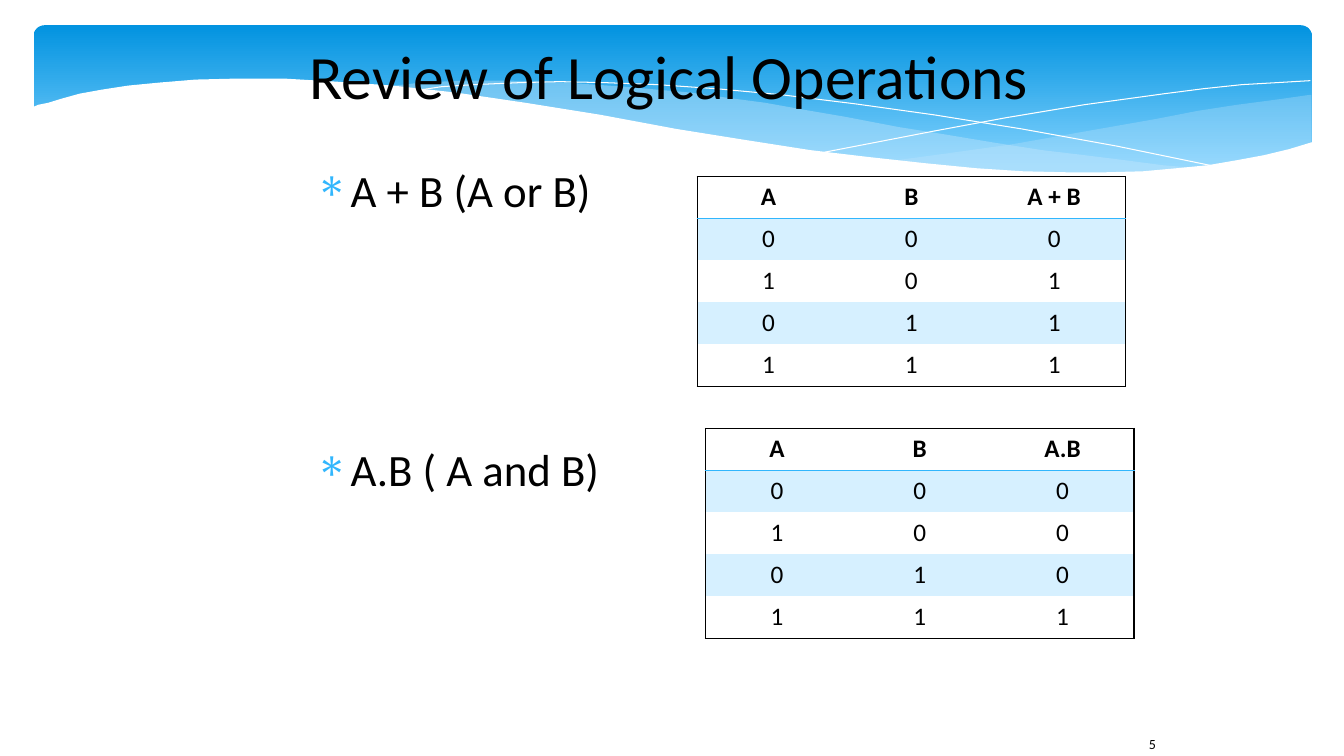
from lxml import etree
from pptx import Presentation
from pptx.dml.color import RGBColor
from pptx.enum import shapes, text
from pptx.oxml import ns
from pptx.util import Pt

FONT = "Calibri"
BLACK, WHITE, SKY, STRIPE, MIST = "000000", "FFFFFF", "31B6FD", "D6F0FF", "C6E7FC"

# Wave outlines, in hundredths of an inch
RIGHT_WAVE = [
    (1300, 94), (1265, 99), (1227, 104), (1188, 110), (1147, 118), (1073, 131),
    (1005, 143), (941, 152), (882, 160), (921, 164), (958, 167), (993, 169),
    (1025, 171), (1056, 172), (1113, 172), (1151, 170), (1186, 166), (1218, 162),
    (1247, 156), (1284, 147), (1301, 142), (1301, 94)]
LONG_WAVE = [
    (1190, 167), (1154, 164), (1116, 159), (1076, 154), (1034, 149), (989, 142),
    (941, 134), (891, 126), (839, 116), (798, 109), (759, 102), (721, 97),
    (686, 92), (652, 89), (619, 86), (560, 82), (506, 80), (459, 80), (418, 82),
    (382, 86), (431, 90), (483, 97), (539, 106), (599, 116), (706, 135),
    (755, 143), (802, 150), (846, 156), (887, 161), (926, 165), (963, 168),
    (998, 170), (1030, 172), (1076, 173), (1118, 172), (1156, 170)]
FALLING_LINE = [
    (412, 90), (438, 86), (470, 84), (516, 82), (555, 81), (600, 82), (652, 84),
    (710, 88), (775, 94), (848, 103), (927, 114), (1014, 128), (1108, 145), (1210, 166)]
RISING_LINE = [
    (818, 151), (870, 141), (927, 130), (997, 117), (1075, 104), (1155, 93),
    (1194, 88), (1232, 84), (1267, 82), (1300, 80)]
WHITE_WAVE = [
    (1302, 141), (1279, 148), (1254, 154), (1227, 159), (1198, 164), (1167, 167),
    (1134, 170), (1097, 171), (1058, 171), (1015, 170), (969, 167), (918, 162),
    (863, 156), (804, 149), (740, 139), (671, 128), (596, 114), (521, 102),
    (453, 92), (390, 85), (333, 81), (282, 78), (235, 78), (194, 79), (158, 82),
    (127, 85), (101, 89), (79, 93), (61, 98), (48, 102), (38, 104), (31, 107),
    (31, 224), (1303, 224), (1303, 140)]


def rgb(value):
    return RGBColor.from_string(value)


def add_node(parent, tag, **attributes):
    return etree.SubElement(parent, ns.qn(tag), attributes)


def style(paragraph, size, bold=False):
    font = paragraph.font
    font.name, font.size, font.bold = FONT, Pt(size), bold
    font.color.rgb = rgb(BLACK)


def add_outline(page, points, closed):
    builder = page.shapes.build_freeform(*points[0], scale=Pt(0.72))
    builder.add_line_segments(points[1:], close=closed)
    shape = builder.convert_to_shape()
    shape.shadow.inherit = False
    return shape


def add_wave(page, points, color, opacity=100):
    wave = add_outline(page, points, True)
    wave.fill.solid()
    wave.fill.fore_color.rgb = rgb(color)
    wave.line.fill.background()
    if opacity < 100:
        fill_color = wave.fill._xPr.find(".//" + ns.qn("a:srgbClr"))
        add_node(fill_color, "a:alpha", val=str(opacity * 1000))


def add_curve(page, points):
    curve = add_outline(page, points, False)
    curve.fill.background()
    curve.line.color.rgb = rgb(WHITE)
    curve.line.width = Pt(0)


def add_banner(page):
    banner = page.shapes.add_shape(
        shapes.MSO_SHAPE.ROUNDED_RECTANGLE, Pt(24), Pt(18), Pt(913), Pt(112.5))
    banner.adjustments[0] = 0.07
    banner.shadow.inherit = False
    banner.line.fill.background()
    banner.fill.gradient()
    banner.fill.gradient_angle = 270
    stops = zip(banner.fill.gradient_stops, (0, 0.9), ("0293E0", "83D3FE"))
    for stop, position, color in stops:
        stop.position = position
        stop.color.rgb = rgb(color)


def place_title(page, wording):
    title = page.shapes.title
    title.left, title.top, title.width, title.height = Pt(186), Pt(16.5), Pt(584), Pt(73.5)
    frame = title.text_frame
    frame.margin_left = frame.margin_right = frame.margin_top = frame.margin_bottom = 0
    frame.vertical_anchor = text.MSO_ANCHOR.MIDDLE
    frame.text = wording
    frame.paragraphs[0].alignment = text.PP_ALIGN.CENTER
    style(frame.paragraphs[0], 44)
    # Bring the title in front of the banner
    title.element.getparent().append(title.element)


def add_box(page, left, top, width, height, margin=0):
    frame = page.shapes.add_textbox(Pt(left), Pt(top), Pt(width), Pt(height)).text_frame
    frame.word_wrap = True
    frame.margin_left = frame.margin_right = Pt(margin)
    frame.margin_top = frame.margin_bottom = Pt(margin / 2)
    return frame


def add_bullets(page, items, gap):
    frame = add_box(page, 216.5, 116, 270, 356)
    for index, item in enumerate(items):
        para = frame.add_paragraph() if index else frame.paragraphs[0]
        para.text = item
        if index:
            para.space_before = Pt(gap)
        props = para._p.get_or_add_pPr()
        props.set("marL", str(Pt(34)))
        props.set("indent", str(-Pt(25)))
        add_node(add_node(props, "a:buClr"), "a:srgbClr", val=SKY)
        add_node(props, "a:buChar", char="∗")
        style(para, 32)


def set_borders(cell, colors):
    """Draw the left, right, top and bottom borders; None leaves a side open."""
    props = cell._tc.get_or_add_tcPr()
    for index, (side, color) in enumerate(zip("LRTB", colors)):
        border = etree.Element(ns.qn("a:ln" + side), w=str(Pt(1)))
        if color:
            add_node(add_node(border, "a:solidFill"), "a:srgbClr", val=color)
        else:
            add_node(border, "a:noFill")
        props.insert(index, border)


def add_truth_table(page, left, top, rows):
    last_row, last_column = len(rows) - 1, len(rows[0]) - 1
    table = page.shapes.add_table(
        len(rows), len(rows[0]), Pt(left), Pt(top), Pt(306), Pt(150)).table
    table.horz_banding = False
    for r, row in enumerate(rows):
        for c, value in enumerate(row):
            cell = table.cell(r, c)
            cell.text = value
            para = cell.text_frame.paragraphs[0]
            para.alignment = text.PP_ALIGN.CENTER
            style(para, 18, bold=r == 0)
            cell.fill.solid()
            cell.fill.fore_color.rgb = rgb(STRIPE if r % 2 else WHITE)
            set_borders(cell, (
                BLACK if c == 0 else None,
                BLACK if c == last_column else None,
                {0: BLACK, 1: SKY}.get(r),
                {0: SKY, last_row: BLACK}.get(r)))


def main():
    deck = Presentation()
    deck.slide_width, deck.slide_height = Pt(960), Pt(540)
    page = deck.slides.add_slide(deck.slide_layouts[5])

    add_banner(page)
    add_wave(page, RIGHT_WAVE, MIST, 29)
    add_wave(page, LONG_WAVE, MIST, 40)
    add_curve(page, FALLING_LINE)
    add_curve(page, RISING_LINE)
    add_wave(page, WHITE_WAVE, WHITE)

    place_title(page, "Review of Logical Operations")
    add_bullets(page, ["A + B (A or B)", "A.B ( A and B)"], gap=161)

    number = add_box(page, 813.5, 522, 44, 29, margin=7.2).paragraphs[0]
    number.text = "5"
    style(number, 10)

    inputs = ["00", "10", "01", "11"]
    for left, top, name, results in ((498, 126, "A + B", "0111"), (504, 306, "A.B", "0001")):
        rows = [["A", "B", name]] + [[*pair, out] for pair, out in zip(inputs, results)]
        add_truth_table(page, left, top, rows)

    deck.save("out.pptx")


if __name__ == "__main__":
    main()
